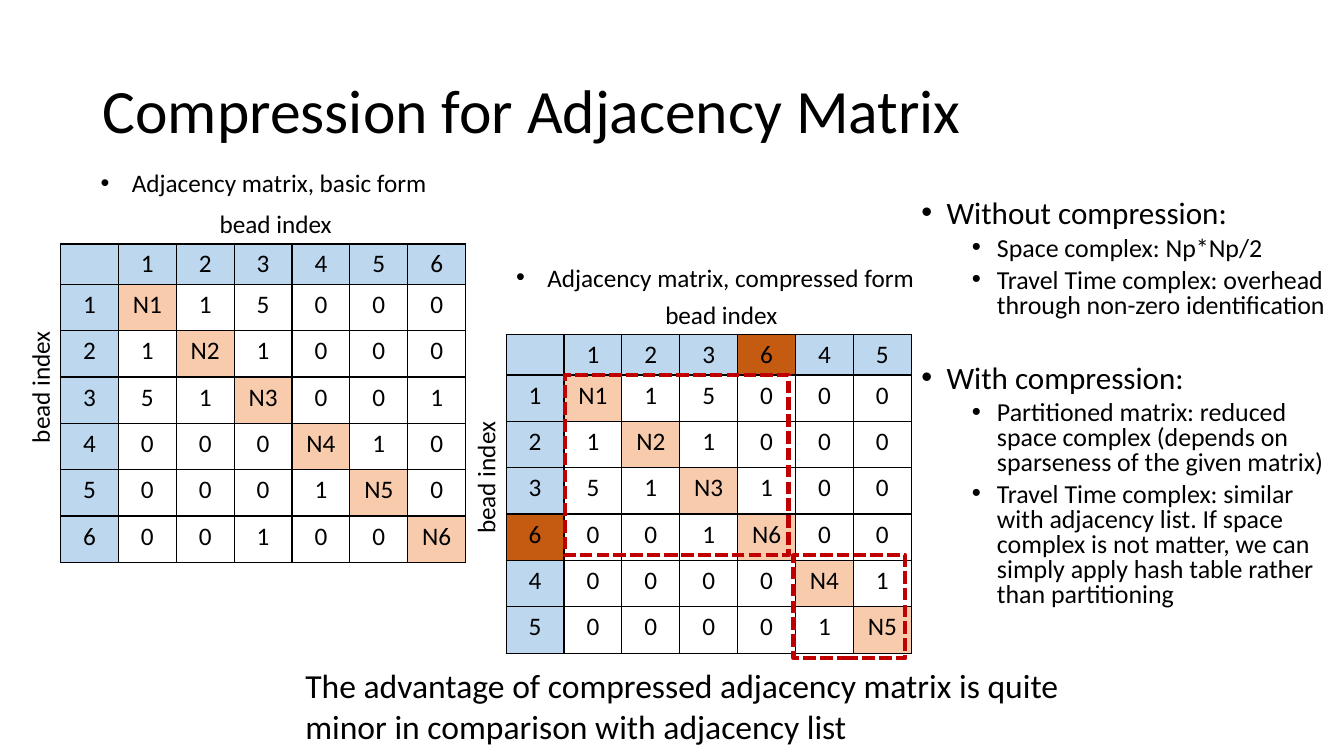
from lxml import etree
from pptx import Presentation
from pptx import util as u
from pptx.dml.color import RGBColor
from pptx.enum import dml, shapes, text
from pptx.oxml import ns

PX = 9144  # 100 px to the inch
FONT = "Calibri"
BLACK, HEADER, SWAPPED, DIAGONAL, BLOCK = "000000", "BDD7EE", "C55A11", "F8CBAD", "C00000"

LINKS = {(1, 2): 1, (1, 3): 5, (2, 3): 1, (3, 6): 1, (4, 5): 1}
LABEL_WIDTH, LABEL_HEIGHT = 133, 40
HEADER_HEIGHT, ROW_HEIGHT = 40, 46

COMPARISON = [
    ("Without compression:", 0, 10),
    ("Space complex: Np*Np/2", 1, 5),
    ("Travel Time complex: overhead through non-zero identification", 1, 5),
    ("With compression:", 0, 33),
    ("Partitioned matrix: reduced space complex "
     "(depends on sparseness of the given matrix)", 1, 5),
    ("Travel Time complex: similar with adjacency list. If space complex is not matter, "
     "we can simply apply hash table rather than partitioning", 1, 5),
]


def px(*lengths):
    return [u.Emu(length * PX) for length in lengths]


def color(value):
    return RGBColor.from_string(value)


def style_text(paragraph, size):
    for run in paragraph.runs:
        run.font.name = FONT
        run.font.size = u.Pt(size)
        run.font.color.rgb = color(BLACK)


def add_bullet(paragraph, margin, hanging):
    properties = paragraph._p.get_or_add_pPr()
    properties.set("marL", str(margin * PX))
    properties.set("indent", str(-hanging * PX))
    etree.SubElement(properties, ns.qn("a:buFont"), typeface="Arial")
    etree.SubElement(properties, ns.qn("a:buChar"), char="•")


def add_text(slide, box, words, size, wrap=True):
    shape = slide.shapes.add_textbox(*px(*box))
    shape.text_frame.word_wrap = wrap
    shape.text_frame.text = words
    style_text(shape.text_frame.paragraphs[0], size)
    return shape


def add_title(slide, box):
    frame = add_text(slide, box, "Compression for Adjacency Matrix", 44).text_frame
    frame.vertical_anchor = text.MSO_ANCHOR.MIDDLE
    frame.paragraphs[0].line_spacing = 0.9


def add_comparison(slide, box):
    shape = slide.shapes.add_textbox(*px(*box))
    frame = shape.text_frame
    frame.word_wrap = True
    for index, (words, level, space) in enumerate(COMPARISON):
        paragraph = frame.add_paragraph() if index else frame.paragraphs[0]
        paragraph.text = words
        paragraph.level = level
        paragraph.line_spacing = 0.8
        paragraph.space_before = u.Pt(space)
        style_text(paragraph, 18.5 if level else 22.2)
        add_bullet(paragraph, 75 if level else 25, 25)


def add_borders(cell):
    properties = cell._tc.get_or_add_tcPr()
    for side in ("lnL", "lnR", "lnT", "lnB"):
        line = etree.SubElement(properties, ns.qn(f"a:{side}"), w=str(u.Pt(1)))
        fill = etree.SubElement(line, ns.qn("a:solidFill"))
        etree.SubElement(fill, ns.qn("a:srgbClr"), val=BLACK)


def matrix_cell(row_bead, column_bead, swapped):
    """Return the words and fill of a cell; bead 0 stands for a header."""
    if not (row_bead and column_bead):
        bead = row_bead or column_bead
        return str(bead or ""), SWAPPED if bead in swapped else HEADER
    if row_bead == column_bead:
        return f"N{row_bead}", DIAGONAL
    pair = min(row_bead, column_bead), max(row_bead, column_bead)
    return str(LINKS.get(pair, 0)), None


def add_matrix_table(slide, box, beads, swapped):
    indices = [0, *beads]
    frame = slide.shapes.add_table(len(indices), len(indices), *px(*box))
    table = frame.table
    table.first_row = table.horz_banding = False
    for row, row_bead in enumerate(indices):
        table.rows[row].height = px(ROW_HEIGHT if row else HEADER_HEIGHT)[0]
        for column, column_bead in enumerate(indices):
            cell = table.cell(row, column)
            cell.text, fill = matrix_cell(row_bead, column_bead, swapped)
            paragraph = cell.text_frame.paragraphs[0]
            paragraph.alignment = text.PP_ALIGN.CENTER
            paragraph.font.size = u.Pt(18)
            style_text(paragraph, 18)
            add_borders(cell)
            if fill:
                cell.fill.solid()
                cell.fill.fore_color.rgb = color(fill)
            else:
                cell.fill.background()


def add_block(slide, box):
    block = slide.shapes.add_shape(shapes.MSO_SHAPE.RECTANGLE, *px(*box))
    block.shadow.inherit = False
    block.fill.background()
    block.line.color.rgb = color(BLOCK)
    block.line.width = u.Pt(3)
    block.line.dash_style = dml.MSO_LINE.SQUARE_DOT


def add_matrix(slide, box, beads, caption, caption_box, swapped=(), blocks=()):
    """Place a table in the box, with its labels, caption and blocks relative to it."""
    left, top, _, _ = box
    add_matrix_table(slide, box, beads, swapped)
    for x, y, rotation in ((-87, 121, 270), (148, -40, 0)):
        label = add_text(slide, (left + x, top + y, LABEL_WIDTH, LABEL_HEIGHT),
                         "bead index", 18, wrap=False)
        label.rotation = rotation
    for x, y, width, height in blocks:
        add_block(slide, (left + x, top + y, width, height))
    x, y, width, height = caption_box
    shape = add_text(slide, (left + x, top + y, width, height), caption, 18, wrap=False)
    add_bullet(shape.text_frame.paragraphs[0], 31, 31)


def add_conclusion(slide, box):
    add_text(slide, box, "The advantage of compressed adjacency matrix is quite minor "
                         "in comparison with adjacency list", 24)


def main():
    presentation = Presentation()
    presentation.slide_width, presentation.slide_height = px(1333, 750)
    slide = presentation.slides.add_slide(presentation.slide_layouts[6])
    add_title(slide, (92, 40, 1150, 145))
    add_comparison(slide, (904, 194, 430, 478))
    add_matrix(slide, (60, 242, 402, 316), (1, 2, 3, 4, 5, 6),
               "Adjacency matrix, basic form", (30, -81, 347, 40))
    add_matrix(slide, (502, 332, 402, 316), (1, 2, 3, 6, 4, 5),
               "Adjacency matrix, compressed form", (0, -77, 419, 40),
               swapped=(6,), blocks=((58, 40, 222, 179), (285, 219, 111, 102)))
    add_conclusion(slide, (293, 655, 800, 91))
    presentation.save("out.pptx")


if __name__ == "__main__":
    main()
